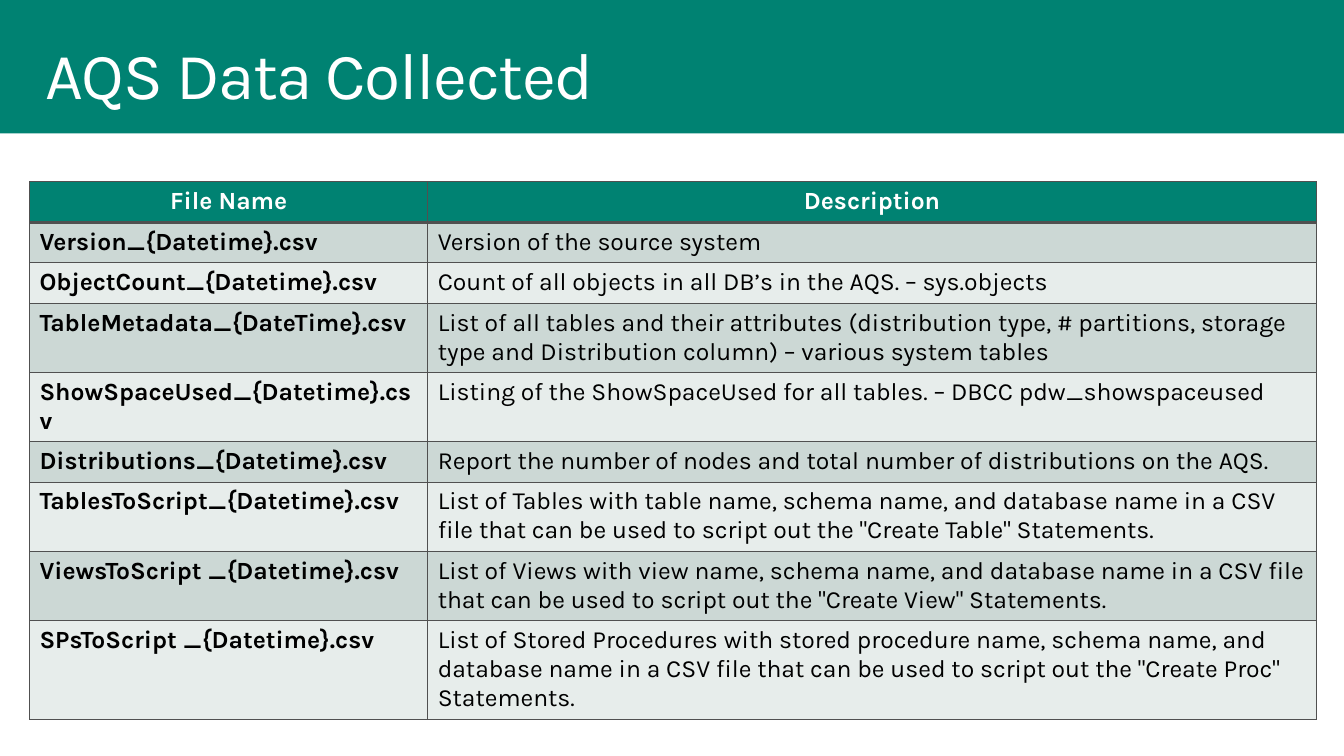
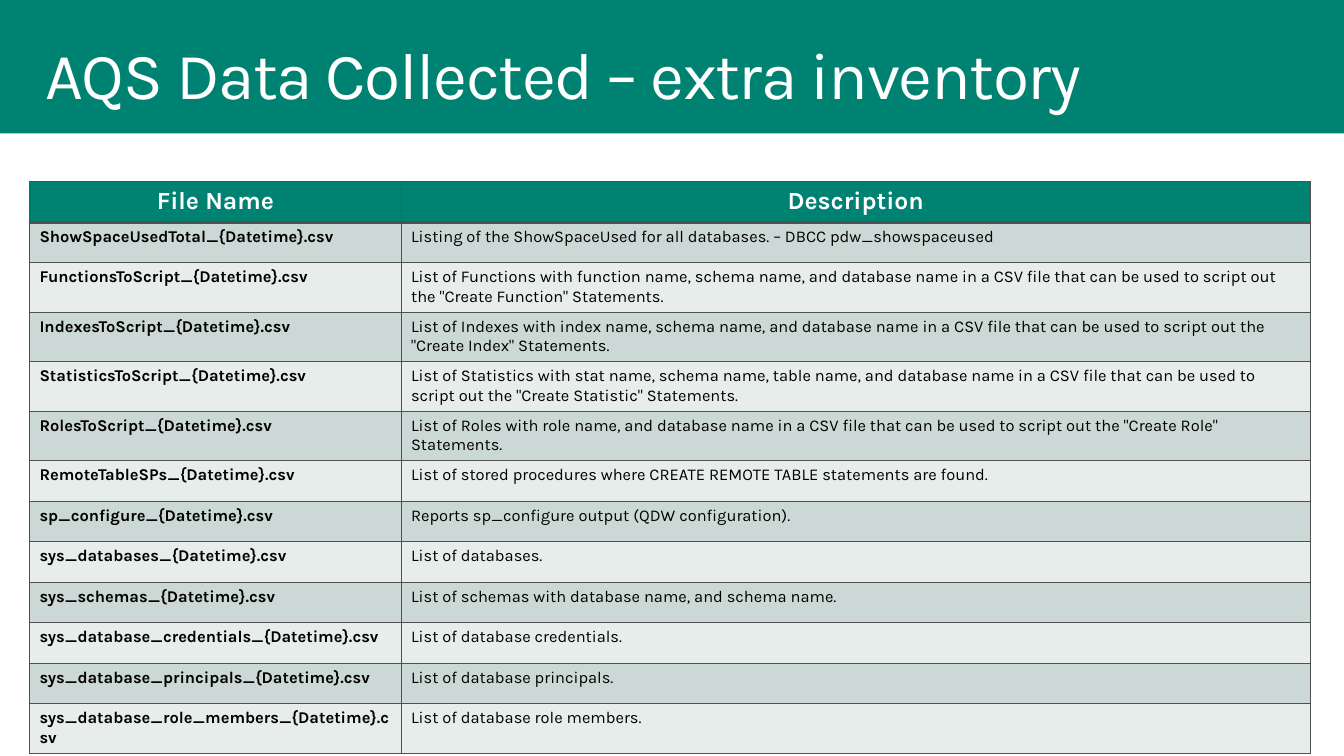
from dataclasses import dataclass

from lxml.etree import SubElement
from pptx import Presentation
from pptx.dml.color import RGBColor
from pptx.enum.shapes import MSO_SHAPE as Shape
from pptx.enum.text import MSO_AUTO_SIZE as Fit, PP_ALIGN as Align
from pptx.oxml.ns import qn
from pptx.slide import Slide
from pptx.table import _Cell as Cell
from pptx.text.text import TextFrame
from pptx.util import Emu, Pt

SCALE = 9144
WIDTH, HEIGHT = 1360, 765
LEFT, TOP, ROW = 30, 184, 41
FONT = "Karla"
GREEN = RGBColor(0x00, 0x82, 0x72)
WHITE = RGBColor(0xFF, 0xFF, 0xFF)
BLACK = RGBColor(0x00, 0x00, 0x00)
GRAY = RGBColor(0x50, 0x50, 0x50)
BANDS = (RGBColor(0xCC, 0xD8, 0xD5), RGBColor(0xE7, 0xED, 0xEB))
HEAD = ("File Name", "Description")


@dataclass(frozen=True)
class Page:
    title: str
    cols: tuple[int, int]
    size: int
    rows: tuple[tuple[str, str], ...]


PAGES = (
    Page("AQS Data Collected", (403, 899), 18, (
        ("Version_{Datetime}.csv", "Version of the source system"),
        ("ObjectCount_{Datetime}.csv",
         "Count of all objects in all DB’s in the AQS. – sys.objects"),
        ("TableMetadata_{DateTime}.csv",
         "List of all tables and their attributes (distribution type, "
         "# partitions, storage type and Distribution column) – "
         "various system tables"),
        ("ShowSpaceUsed_{Datetime}.csv",
         "Listing of the ShowSpaceUsed for all tables. – "
         "DBCC pdw_showspaceused"),
        ("Distributions_{Datetime}.csv",
         "Report the number of nodes and total number of distributions "
         "on the AQS."),
        ("TablesToScript_{Datetime}.csv",
         "List of Tables with table name, schema name, and database name "
         'in a CSV file that can be used to script out the "Create Table" '
         "Statements."),
        ("ViewsToScript _{Datetime}.csv",
         "List of Views with view name, schema name, and database name "
         'in a CSV file that can be used to script out the "Create View" '
         "Statements."),
        ("SPsToScript _{Datetime}.csv",
         "List of Stored Procedures with stored procedure name, schema name, "
         "and database name in a CSV file that can be used to script out the "
         '"Create Proc" Statements.'),
    )),
    Page("AQS Data Collected – extra inventory", (376, 920), 12, (
        ("ShowSpaceUsedTotal_{Datetime}.csv",
         "Listing of the ShowSpaceUsed for all databases. – "
         "DBCC pdw_showspaceused"),
        ("FunctionsToScript_{Datetime}.csv",
         "List of Functions with function name, schema name, and database "
         "name in a CSV file that can be used to script out the "
         '"Create Function" Statements.'),
        ("IndexesToScript_{Datetime}.csv",
         "List of Indexes with index name, schema name, and database name "
         'in a CSV file that can be used to script out the "Create Index" '
         "Statements."),
        ("StatisticsToScript_{Datetime}.csv",
         "List of Statistics with stat name, schema name, table name, and "
         "database name in a CSV file that can be used to script out the "
         '"Create Statistic" Statements.'),
        ("RolesToScript_{Datetime}.csv",
         "List of Roles with role name, and database name in a CSV file "
         'that can be used to script out the "Create Role" Statements.'),
        ("RemoteTableSPs_{Datetime}.csv",
         "List of stored procedures where CREATE REMOTE TABLE statements "
         "are found."),
        ("sp_configure_{Datetime}.csv",
         "Reports sp_configure output (QDW configuration)."),
        ("sys_databases_{Datetime}.csv", "List of databases."),
        ("sys_schemas_{Datetime}.csv",
         "List of schemas with database name, and schema name."),
        ("sys_database_credentials_{Datetime}.csv",
         "List of database credentials."),
        ("sys_database_principals_{Datetime}.csv",
         "List of database principals."),
        ("sys_database_role_members_{Datetime}.csv",
         "List of database role members."),
    )),
)


def px(count: int) -> Emu:
    return Emu(count * SCALE)


def write(frame: TextFrame, text: str, *, size: int, color: RGBColor,
          bold: bool = False, align: Align = Align.LEFT,
          track: int = 0, lead: float | None = None,
          before: int = 0) -> None:
    para = frame.paragraphs[0]
    para.alignment = align
    if lead:
        para.line_spacing = lead
    if before:
        space = SubElement(para._p.get_or_add_pPr(), qn("a:spcBef"))
        SubElement(space, qn("a:spcPct"), val=str(before * 1000))
    run = para.add_run()
    run.text = text
    font = run.font
    font.name, font.size, font.bold = FONT, Pt(size), bold
    font.color.rgb = color
    if track:
        run._r.get_or_add_rPr().set("spc", str(track * 100))


def style(cell: Cell, fill: RGBColor, base: int) -> None:
    props = cell._tc.get_or_add_tcPr()
    for side, width in (("L", 1), ("R", 1), ("T", 1), ("B", base)):
        line = SubElement(props, qn(f"a:ln{side}"), w=str(Pt(width)))
        solid = SubElement(line, qn("a:solidFill"))
        SubElement(solid, qn("a:srgbClr"), val=str(GRAY))
    cell.fill.solid()
    cell.fill.fore_color.rgb = fill


def banner(slide: Slide, title: str) -> None:
    band = slide.shapes.add_shape(
        Shape.RECTANGLE, 0, 0, px(WIDTH), px(135))
    band.shadow.inherit = False
    band.fill.solid()
    band.fill.fore_color.rgb = GREEN
    band.line.fill.background()
    box = slide.shapes.add_textbox(px(LEFT), px(33), px(1200), px(93))
    frame = box.text_frame
    frame.word_wrap = True
    frame.auto_size = Fit.SHAPE_TO_FIT_TEXT
    frame.margin_left = frame.margin_right = px(16)
    frame.margin_top = frame.margin_bottom = px(10)
    write(frame, title, size=48, color=WHITE, track=-1, lead=0.9, before=20)


def grid(slide: Slide, page: Page) -> None:
    count = len(page.rows) + 1
    table = slide.shapes.add_table(
        count, len(HEAD), px(LEFT), px(TOP),
        px(sum(page.cols)), px(ROW * count)).table
    for col, width in zip(table.columns, page.cols):
        col.width = px(width)
    for x, text in enumerate(HEAD):
        cell = table.cell(0, x)
        style(cell, GREEN, 3)
        write(cell.text_frame, text, size=18, color=WHITE, bold=True,
              align=Align.CENTER)
    for y, row in enumerate(page.rows):
        for x, text in enumerate(row):
            cell = table.cell(y + 1, x)
            style(cell, BANDS[y % 2], 1)
            write(cell.text_frame, text, size=page.size, color=BLACK,
                  bold=x == 0)


def main() -> None:
    deck = Presentation()
    deck.slide_width, deck.slide_height = px(WIDTH), px(HEIGHT)
    for page in PAGES:
        slide = deck.slides.add_slide(deck.slide_layouts[6])
        banner(slide, page.title)
        grid(slide, page)
    deck.save("out.pptx")


if __name__ == "__main__":
    main()
